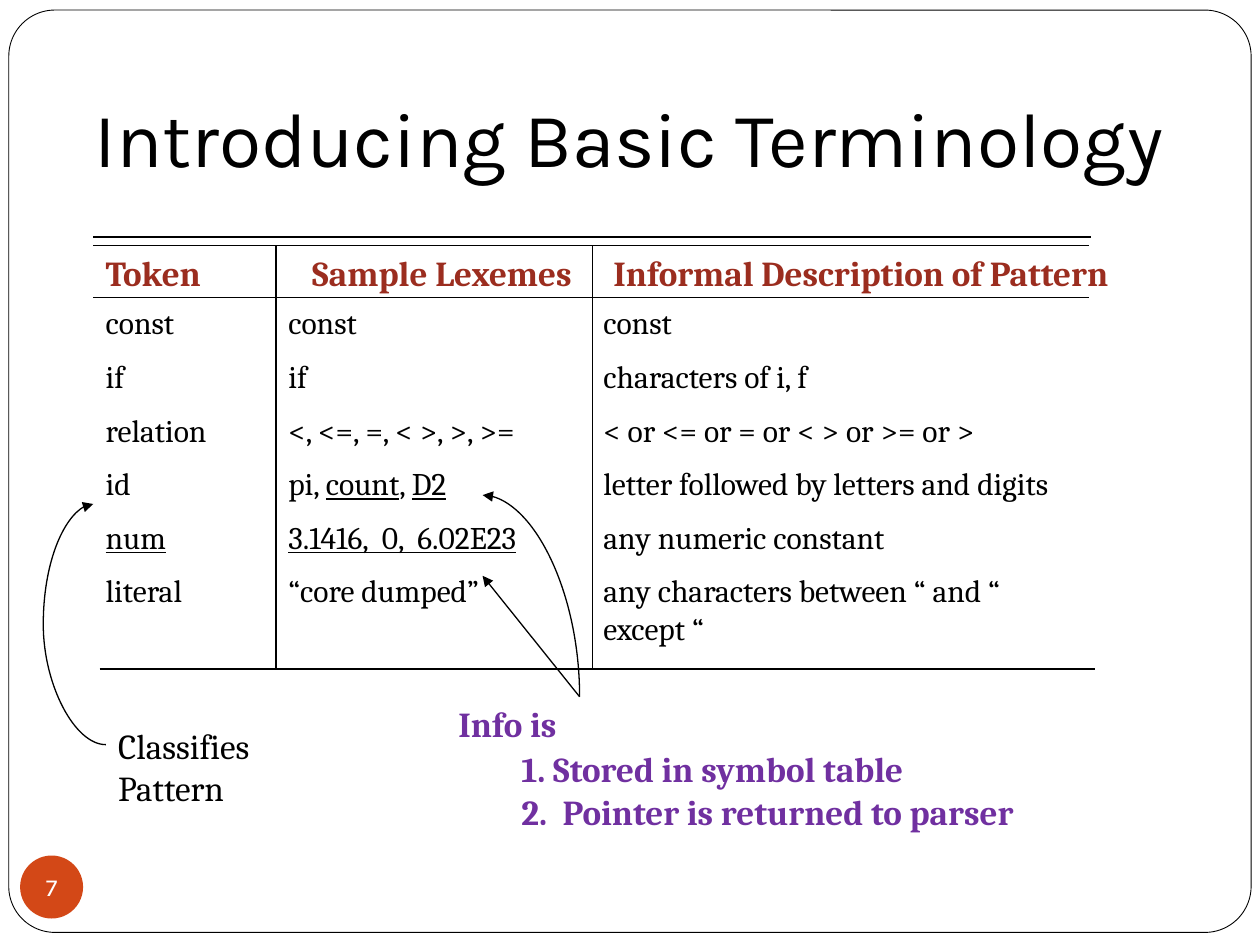
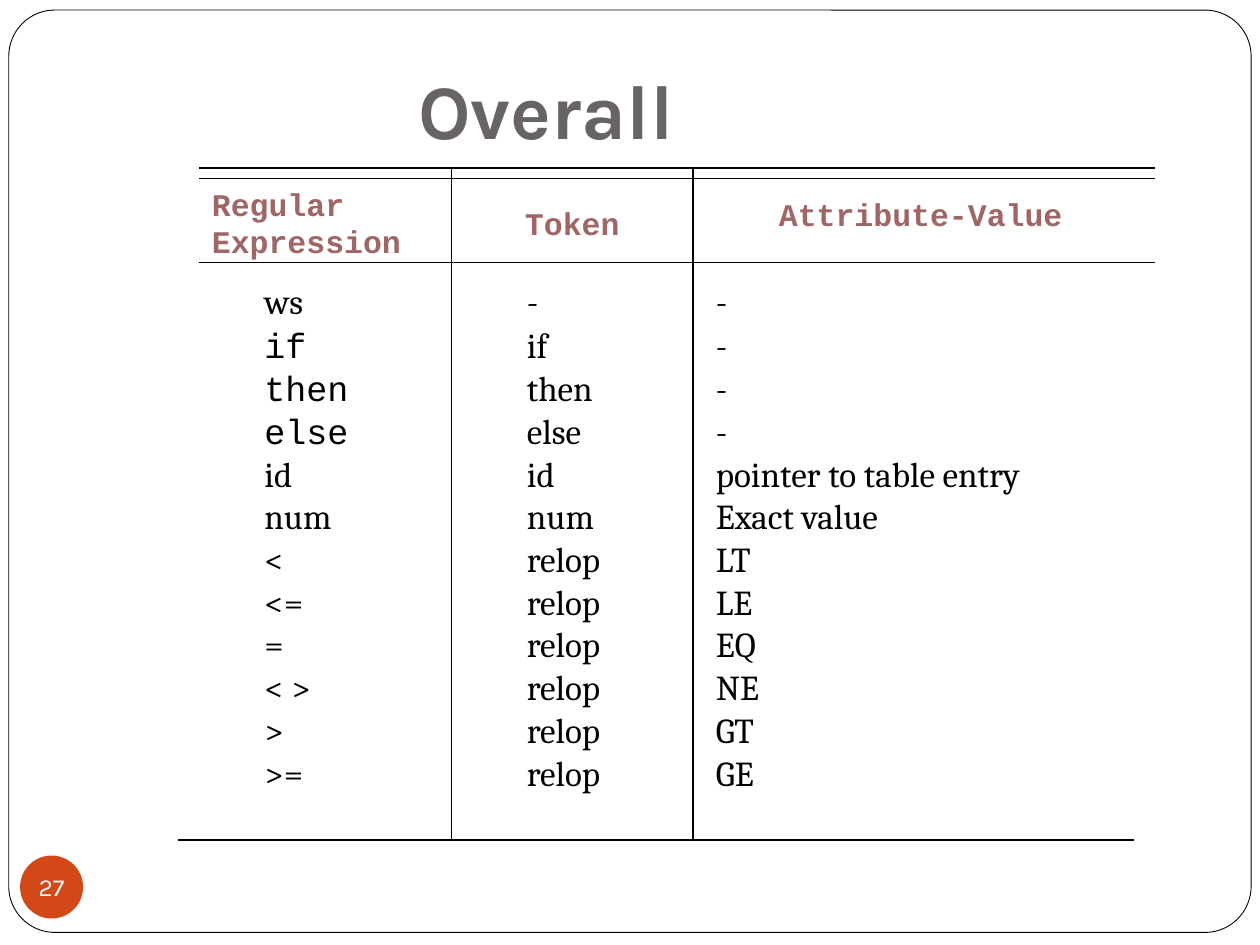
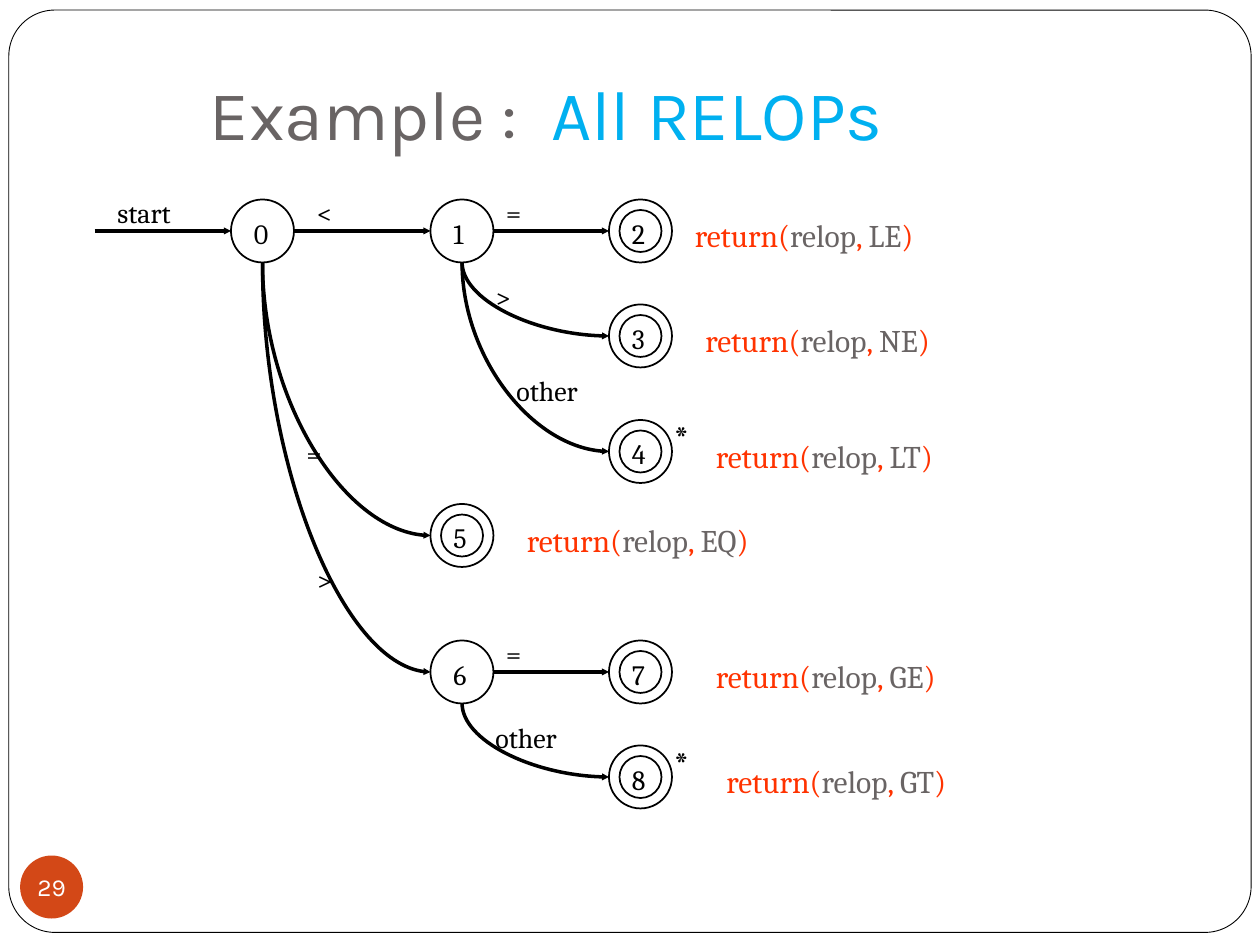
from lxml.etree import SubElement
from pptx import Presentation
from pptx.dml.color import RGBColor
from pptx.enum.shapes import MSO_CONNECTOR, MSO_SHAPE
from pptx.enum.text import MSO_ANCHOR, MSO_AUTO_SIZE, PP_ALIGN
from pptx.oxml.ns import qn
from pptx.util import Inches, Pt

COLORS = {
    "black": "000000", "white": "FFFFFF", "gray": "696464", "badge": "D34817",
    "brick": "9B2D1F", "rose": "A06565", "purple": "7030A0",
    "blue": "00B0F0", "red": "FF3300",
}
BODY, HEAD, MONO = "Cambria", "Karla", "Courier New"
CELL = 1 / 12


def rgb(name):
    return RGBColor.from_string(COLORS[name])


def cells(*lengths):
    return [n * CELL for n in lengths]


def write(tf, paras, size=18, color="black", font=BODY, bold=False,
          align=None, gap=0.5, tight=False, indent=0):
    for i, runs in enumerate(paras):
        p = tf.paragraphs[0] if i == 0 else tf.add_paragraph()
        p.alignment = align
        p.space_before = Pt(size * gap)
        if i and tight:
            p.line_spacing = 0.6
        if i and indent:
            p.level = 1
            pPr = p._p.get_or_add_pPr()
            pPr.set("marL", str(Inches(indent)))
            pPr.set("indent", "0")
        for content, fmt in [(runs, {})] if isinstance(runs, str) else runs:
            r = p.add_run()
            r.text = content
            r.font.size = Pt(size)
            r.font.name = fmt.get("font", font)
            r.font.bold = bold
            r.font.underline = fmt.get("underline")
            r.font.color.rgb = rgb(fmt.get("color", color))


def text(s, x, y, w, h, paras, **fmt):
    tf = s.shapes.add_textbox(*map(Inches, (x, y, w, h))).text_frame
    tf.word_wrap = True
    tf.auto_size = MSO_AUTO_SIZE.SHAPE_TO_FIT_TEXT
    write(tf, paras, **fmt)


def shape(s, kind, x, y, w, h, fill=None, width=None):
    sp = s.shapes.add_shape(kind, *map(Inches, (x, y, w, h)))
    sp.shadow.inherit = False
    if fill:
        sp.fill.solid()
        sp.fill.fore_color.rgb = rgb(fill)
    else:
        sp.fill.background()
    if width:
        sp.line.color.rgb = rgb("black")
        sp.line.width = Pt(width)
    else:
        sp.line.fill.background()
    return sp


def line(s, x1, y1, x2, y2, width=0.75, arrow=None, kind=MSO_CONNECTOR.STRAIGHT):
    c = s.shapes.add_connector(kind, *map(Inches, (x1, y1, x2, y2)))
    c.line.color.rgb = rgb("black")
    c.line.width = Pt(width)
    if arrow:
        SubElement(c.line._get_or_add_ln(), qn("a:tailEnd"),
                   type="triangle", w=arrow, len=arrow)
    SubElement(c._element.spPr, qn("a:effectLst"))
    return c


def turn(c, degrees):
    c._element.spPr.find(qn("a:xfrm")).set("rot", str(degrees * 60000))


def quarter_curve(s, x1, y1, x2, y2, width, arrow):
    cx, cy = (x1 + x2) / 2, (y1 + y2) / 2
    dx, dy = (x2 - x1) / 2, (y2 - y1) / 2
    c = line(s, cx + dy, cy - dx, cx - dy, cy + dx, width, arrow,
             MSO_CONNECTOR.CURVE)
    c._element.spPr.find(qn("a:prstGeom")).set("prst", "curvedConnector2")
    turn(c, 270)


def bulging_curve(s, x1, y1, x2, y2, bulge, arrow):
    c = line(s, x2, y2, x1, y1, arrow=arrow, kind=MSO_CONNECTOR.CURVE)
    turn(c, 180)
    geom = c._element.spPr.find(qn("a:prstGeom"))
    guides = geom.find(qn("a:avLst"))
    if guides is None:
        guides = SubElement(geom, qn("a:avLst"))
    SubElement(guides, qn("a:gd"), name="adj1", fmla=f"val {round(bulge * 100000)}")


def add_frame(prs, s):
    sp = shape(s, MSO_SHAPE.ROUNDED_RECTANGLE, 0.07, 0.08, 9.86, 7.32, "white", 0.5)
    sp.adjustments[0] = 0.05
    prs.slide_layouts[5].shapes._spTree.insert(2, sp._element)


def new_slide(prs, number, title, box, **fmt):
    s = prs.slides.add_slide(prs.slide_layouts[5])
    sp = s.shapes.title
    sp.left, sp.top, sp.width, sp.height = map(Inches, box)
    tf = sp.text_frame
    tf.word_wrap = True
    tf.auto_size = MSO_AUTO_SIZE.NONE
    tf.vertical_anchor = MSO_ANCHOR.BOTTOM
    tf.margin_left = tf.margin_right = tf.margin_bottom = Inches(0.1)
    tf.margin_top = Inches(0.05)
    write(tf, [title], font=HEAD, gap=0, **fmt)
    badge = shape(s, MSO_SHAPE.OVAL, 0.16, 6.79, 0.5, 0.5, "badge")
    tf = badge.text_frame
    tf.word_wrap = False
    tf.vertical_anchor = MSO_ANCHOR.MIDDLE
    tf.margin_left = tf.margin_right = tf.margin_top = tf.margin_bottom = 0
    write(tf, [str(number)], size=14, color="white", font=HEAD,
          align=PP_ALIGN.CENTER, gap=0)
    return s


def terminology(prs):
    s = new_slide(prs, 7, "Introducing Basic Terminology", (0.5, 0.3, 9, 1.25),
                  size=44, align=PP_ALIGN.CENTER)
    add_frame(prs, s)
    for x1, x2, y in [(0.74, 8.66, 1.88), (0.74, 8.64, 1.95),
                      (0.74, 8.64, 2.36), (0.79, 8.69, 5.31)]:
        line(s, x1, y, x2, y)
    for x in (2.19, 4.7):
        line(s, x, 1.95, x, 5.31)
    for x, w, head in [(0.74, 1.35, "Token"), (2.38, 2.6, "Sample Lexemes"),
                       (4.77, 4.14, "Informal Description of Pattern")]:
        text(s, x, 1.95, w, 0.43, [head], size=20, color="brick", bold=True)

    under = {"underline": True}
    columns = [
        (0.74, 1.45, 2.66, ["const", "if", "relation", "id", [("num", under)],
                            "literal"]),
        (2.19, 2.51, 2.66, ["const", "if", "<, <=, =, < >, >, >=",
                            [("pi, ", {}), ("count", under), (", ", {}),
                             ("D2", under)],
                            [("3.1416,  0,  6.02E23", under)],
                            "“core dumped”"]),
        (4.69, 4.05, 2.96, ["const", "characters of i, f",
                            "< or <= or = or < > or >= or >",
                            "letter followed by letters and digits",
                            "any numeric constant",
                            "any characters between “ and “ except “"]),
    ]
    for x, w, h, rows in columns:
        text(s, x, 2.36, w, h, rows)

    text(s, 0.84, 5.7, 1.64, 0.77, ["Classifies Pattern"], size=20)
    bulging_curve(s, 0.84, 5.91, 0.74, 4, 4.97, "med")
    text(s, 3.54, 5.53, 4.63, 1.2,
         ["Info is ", "1. Stored in symbol table",
          "2.  Pointer is returned to parser"],
         size=20, color="purple", bold=True, tight=True, indent=0.5)
    line(s, 4.6, 5.53, 3.83, 4.57, arrow="med")
    quarter_curve(s, 4.6, 5.53, 3.83, 3.93, 0.75, "med")


def overall(prs):
    s = new_slide(prs, 27, "Overall", (0.17, 0.08, 8.33, 1.25),
                  size=44, color="gray", bold=True)
    for x, y in [(19, 16), (19, 17), (19, 25), (17, 80)]:
        line(s, *cells(x, y, x + 91, y), width=1)
    for x in (43, 66):
        line(s, *cells(x, 16, x, 80), width=1)
    for x, y, w, h, head, align in [
            (19, 17, 25, 8.5, "Regular Expression", None),
            (43, 18.8, 23, 4.8, "Token", PP_ALIGN.CENTER),
            (73, 18, 37, 4.8, "Attribute-Value", None)]:
        text(s, *cells(x, y, w, h), [head], color="rose", font=MONO,
             bold=True, align=align)

    keywords = ["if", "then", "else"]
    columns = [
        (24, 11, ["ws"] + [[(word, {"font": MONO})] for word in keywords]
         + ["id", "num", "<", "<=", "=", "< >", ">", ">="]),
        (49, 11, ["-"] + keywords + ["id", "num"] + ["relop"] * 6),
        (67, 44, ["-"] * 4 + ["pointer to table entry", "Exact value",
                              "LT", "LE", "EQ", "NE", "GT", "GE"]),
    ]
    for x, w, rows in columns:
        text(s, *cells(x, 26, w, 54.4), rows, size=20, tight=True)


def ring(s, x, y, radius):
    shape(s, MSO_SHAPE.OVAL,
          *cells(x - radius, y - radius, 2 * radius, 2 * radius), width=1)


def state(s, name, x, y, accepting):
    ring(s, x, y, 3)
    if accepting:
        ring(s, x, y, 2)
    text(s, *cells(x - 2, y - 2, 4, 4.4), [name], size=16)


def result(s, x, y, value):
    red, gray = {"color": "red"}, {"color": "gray"}
    text(s, *cells(x, y, 35, 4.8),
         [[("return(", red), ("relop", gray), (", ", red), (value, gray),
           (")", red)]])


def relops(prs):
    s = new_slide(prs, 29, [("Example :  ", {}), ("All RELOPs", {"color": "blue"})],
                  (0.17, 0.08, 8.33, 1.25), size=40, color="gray")
    states = {"0": (25, 22), "1": (44, 22), "2": (61, 22), "3": (61, 32),
              "4": (61, 43), "5": (44, 51), "6": (44, 64), "7": (61, 64),
              "8": (61, 74)}
    results = {"2": ("LE", 4), "3": ("NE", 5), "4": ("LT", 6),
               "5": ("EQ", 5), "7": ("GE", 6), "8": ("GT", 7)}
    edges = [("0", "1", "<", 29, 18), ("1", "2", "=", 47, 18),
             ("1", "3", ">", 46, 26), ("1", "4", "other", 48, 35),
             ("0", "5", "=", 28, 41), ("0", "6", ">", 29, 53),
             ("6", "7", "=", 47, 60), ("6", "8", "other", 46, 68)]

    line(s, *cells(9, 22, 22, 22), width=2, arrow="sm")
    text(s, *cells(10, 18, 10, 4.4), ["start"], size=16)
    for name, (x, y) in states.items():
        state(s, name, x, y, name in results)
    for start, end, label, x, y in edges:
        (x1, y1), (x2, y2) = states[start], states[end]
        if y1 == y2:
            line(s, *cells(x1 + 3, y1, x2 - 3, y2), width=2, arrow="sm")
        else:
            quarter_curve(s, *cells(x1, y1 + 3, x2 - 3, y2), 2, "sm")
        text(s, *cells(x, y, 10, 4.4), [label], size=16)
    for name, (value, offset) in results.items():
        x, y = states[name]
        result(s, x + offset, y - 2, value)
    for name in ("4", "8"):
        x, y = states[name]
        text(s, *cells(x + 2, y - 4, 4, 5.2), ["*"], size=20)


def main():
    prs = Presentation()
    prs.slide_width, prs.slide_height = Inches(10), Inches(7.5)
    terminology(prs)
    overall(prs)
    relops(prs)
    prs.save("out.pptx")


main()
